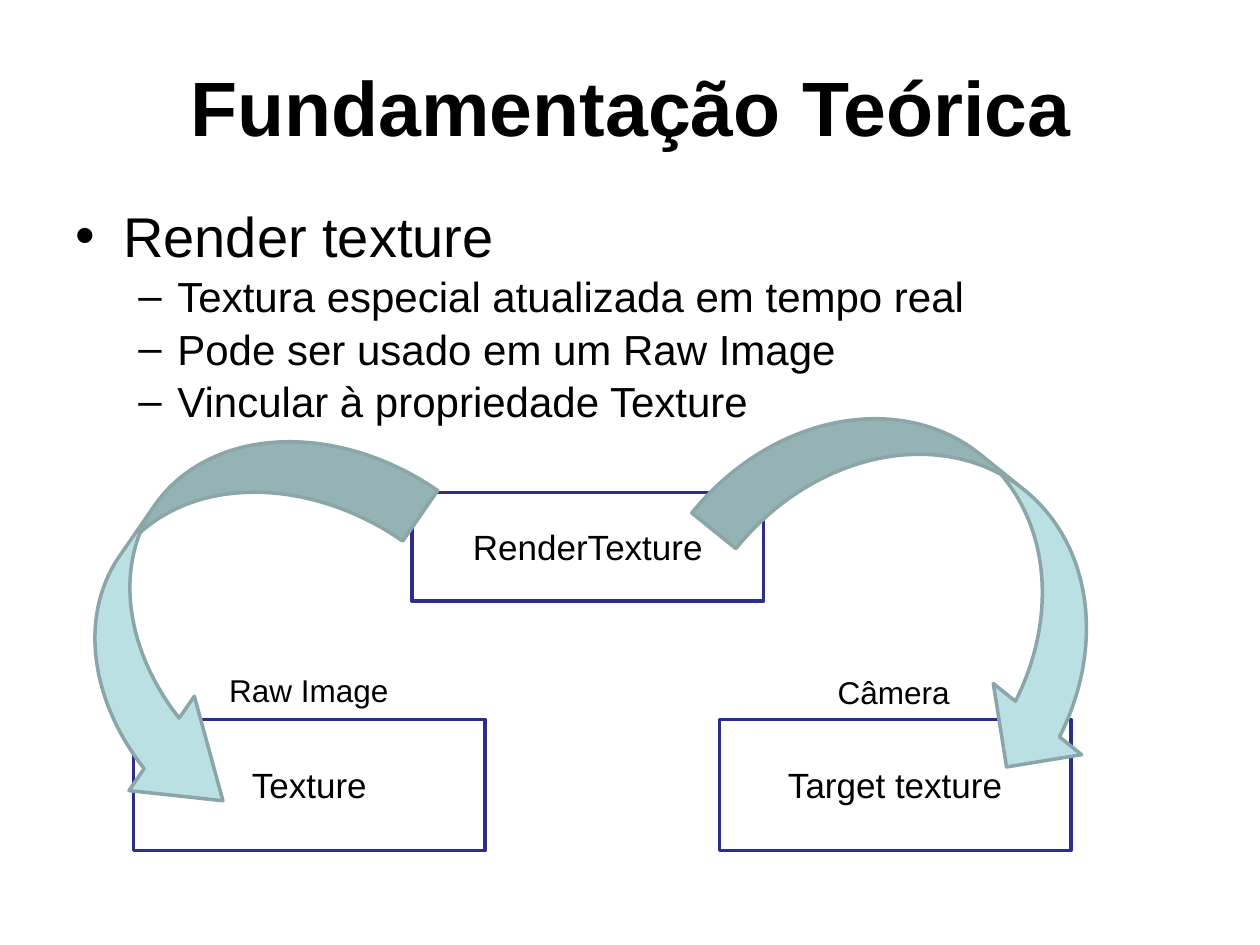
"""Build the slide on render textures."""
from dataclasses import dataclass

from lxml import etree
from pptx import Presentation
from pptx.dml.color import RGBColor
from pptx.enum.shapes import MSO_SHAPE
from pptx.enum.text import MSO_ANCHOR, MSO_AUTO_SIZE, PP_ALIGN
from pptx.oxml.ns import qn
from pptx.util import Emu, Inches, Pt

RECTANGLE = MSO_SHAPE.RECTANGLE
RIGHT_ARROW = MSO_SHAPE.CURVED_RIGHT_ARROW
LEFT_ARROW = MSO_SHAPE.CURVED_LEFT_ARROW
TOP, MIDDLE = MSO_ANCHOR.TOP, MSO_ANCHOR.MIDDLE
LEFT, CENTER = PP_ALIGN.LEFT, PP_ALIGN.CENTER
FIT_SHAPE = MSO_AUTO_SIZE.SHAPE_TO_FIT_TEXT

CELL = Inches(0.1)
COLUMNS, ROWS = 100, 75
BOX_WIDTH, LOWER_ROW, LOWER_HEIGHT = 27.9, 57.1, 10.4


@dataclass(frozen=True)
class Theme:
    """Colours and type sizes of the deck."""
    font: str = "Arial"
    ink: RGBColor = RGBColor(0x00, 0x00, 0x00)
    paper: RGBColor = RGBColor(0xFF, 0xFF, 0xFF)
    box_line: RGBColor = RGBColor(0x2D, 0x2D, 0x8A)
    arrow_fill: RGBColor = RGBColor(0xBB, 0xE0, 0xE3)
    arrow_line: RGBColor = RGBColor(0x8A, 0xA6, 0xA8)
    line_width: int = 2
    title: int = 44
    topic: int = 32
    detail: int = 24
    box: int = 20
    label: int = 18


@dataclass(frozen=True)
class Area:
    """A region measured in grid columns and rows."""
    column: float
    row: float
    width: float
    height: float

    def lengths(self) -> list[Emu]:
        """Return left, top, width and height."""
        return [Emu(round(cells * CELL)) for cells in
                (self.column, self.row, self.width, self.height)]


@dataclass(frozen=True)
class BulletStyle:
    """Mark, size, indents in inches and space before in points."""
    mark: str
    size: int
    margin: float
    hanging: float
    before: float
    level: int


@dataclass(frozen=True)
class TextItem:
    """A piece of text in its area."""
    text: str
    area: Area


@dataclass(frozen=True)
class Arrow:
    """A curved arrow with its rotation and adjustments."""
    kind: MSO_SHAPE
    area: Area
    rotation: float
    adjustments: tuple[float, ...] = ()


THEME = Theme()
TOPIC = BulletStyle("•", THEME.topic, 0.38, 0.38, 3.6, 0)
DETAIL = BulletStyle("–", THEME.detail, 0.81, 0.31, 1.2, 1)
TITLE = TextItem("Fundamentação Teórica", Area(5.1, 2.1, 90, 12.5))
BODY_AREA = Area(5, 15.5, 90, 51.2)
BULLETS = (
    ("Render texture", TOPIC),
    ("Textura especial atualizada em tempo real", DETAIL),
    ("Pode ser usado em um Raw Image", DETAIL),
    ("Vincular à propriedade Texture", DETAIL),
)
BOXES = (
    TextItem("RenderTexture", Area(32.7, 39.1, BOX_WIDTH, 8.6)),
    TextItem("Texture", Area(10.6, LOWER_ROW, BOX_WIDTH, LOWER_HEIGHT)),
    TextItem("Target texture", Area(57.1, LOWER_ROW, BOX_WIDTH, LOWER_HEIGHT)),
)
LABELS = (
    TextItem("Câmera", Area(65.5, 52.9, 11, 4)),
    TextItem("Raw Image", Area(17.2, 52.8, 14.8, 4)),
)
ARROWS = (
    Arrow(RIGHT_ARROW, Area(8.7, 30.8, 17.8, 34.5), 34.7, (0.274, 0.512, 0.37)),
    Arrow(LEFT_ARROW, Area(65.8, 26.9, 18, 36.6), 308.9),
)


def apply(target, values: dict) -> None:
    """Set every attribute named in the values."""
    for name, value in values.items():
        setattr(target, name, value)


def write(para, text: str, size: int, bold: bool = False, align=LEFT) -> None:
    """Put one formatted span in a paragraph."""
    para.alignment = align
    span = para.add_run()
    span.text = text
    apply(span.font, {"name": THEME.font, "size": Pt(size), "bold": bold})
    span.font.color.rgb = THEME.ink


def add_text(page, area: Area, anchor=TOP, wrap: bool = True):
    """Add a text box and return its frame."""
    frame = page.shapes.add_textbox(*area.lengths()).text_frame
    apply(frame, {"word_wrap": wrap, "vertical_anchor": anchor})
    return frame


def add_bullet(para, text: str, style: BulletStyle) -> None:
    """Fill a paragraph as a bullet of the given style."""
    write(para, text, style.size)
    apply(para, {"level": style.level, "space_before": Pt(style.before)})
    properties = para._p.get_or_add_pPr()
    properties.set("marL", str(Inches(style.margin)))
    properties.set("indent", str(-Inches(style.hanging)))
    etree.SubElement(properties, qn("a:buFont")).set("typeface", THEME.font)
    etree.SubElement(properties, qn("a:buChar")).set("char", style.mark)


def add_outlined(page, kind, area: Area, fill: RGBColor, line: RGBColor):
    """Add a filled and outlined preset shape."""
    shape = page.shapes.add_shape(kind, *area.lengths())
    shape.shadow.inherit = False
    shape.fill.solid()
    shape.fill.fore_color.rgb = fill
    shape.line.color.rgb = line
    shape.line.width = Pt(THEME.line_width)
    return shape


def add_box(page, item: TextItem) -> None:
    """Add a rectangle with centred text."""
    box = add_outlined(page, RECTANGLE, item.area, THEME.paper, THEME.box_line)
    box.text_frame.vertical_anchor = MIDDLE
    write(box.text_frame.paragraphs[0], item.text, THEME.box, align=CENTER)


def add_label(page, item: TextItem) -> None:
    """Add a caption that does not wrap."""
    frame = add_text(page, item.area, wrap=False)
    frame.auto_size = FIT_SHAPE
    write(frame.paragraphs[0], item.text, THEME.label)


def add_arrow(page, arrow: Arrow) -> None:
    """Add a rotated curved arrow."""
    shape = add_outlined(page, arrow.kind, arrow.area,
                         THEME.arrow_fill, THEME.arrow_line)
    shape.rotation = arrow.rotation
    for index, value in enumerate(arrow.adjustments):
        shape.adjustments[index] = value


def main() -> None:
    """Build and save the deck."""
    deck = Presentation()
    apply(deck, {"slide_width": COLUMNS * CELL, "slide_height": ROWS * CELL})
    page = deck.slides.add_slide(deck.slide_layouts[6])
    title = add_text(page, TITLE.area, MIDDLE)
    write(title.paragraphs[0], TITLE.text, THEME.title, True, CENTER)
    body = add_text(page, BODY_AREA)
    for index, (text, style) in enumerate(BULLETS):
        para = body.add_paragraph() if index else body.paragraphs[0]
        add_bullet(para, text, style)
    for draw, items in ((add_box, BOXES), (add_label, LABELS), (add_arrow, ARROWS)):
        for item in items:
            draw(page, item)
    deck.save("out.pptx")


if __name__ == "__main__":
    main()
